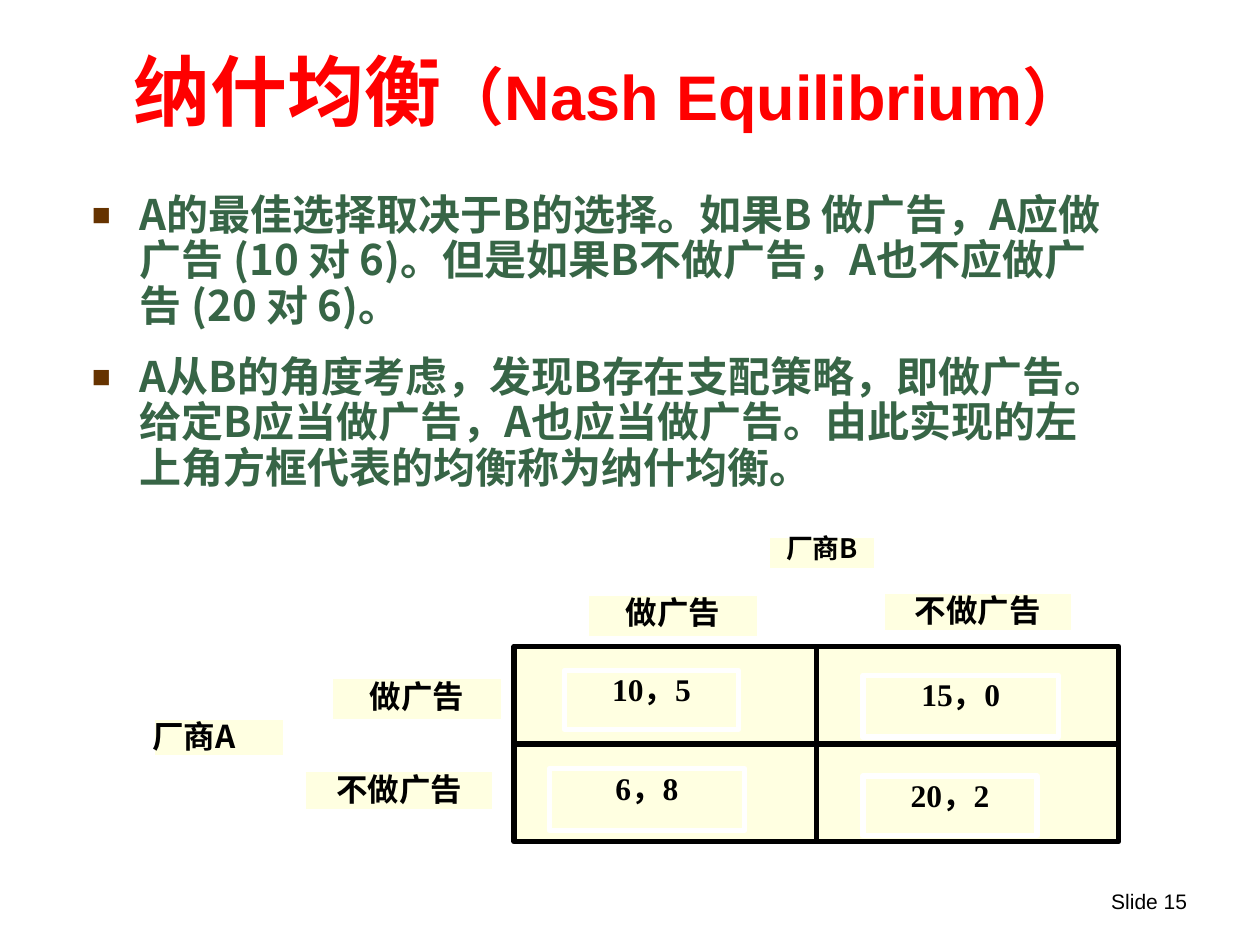
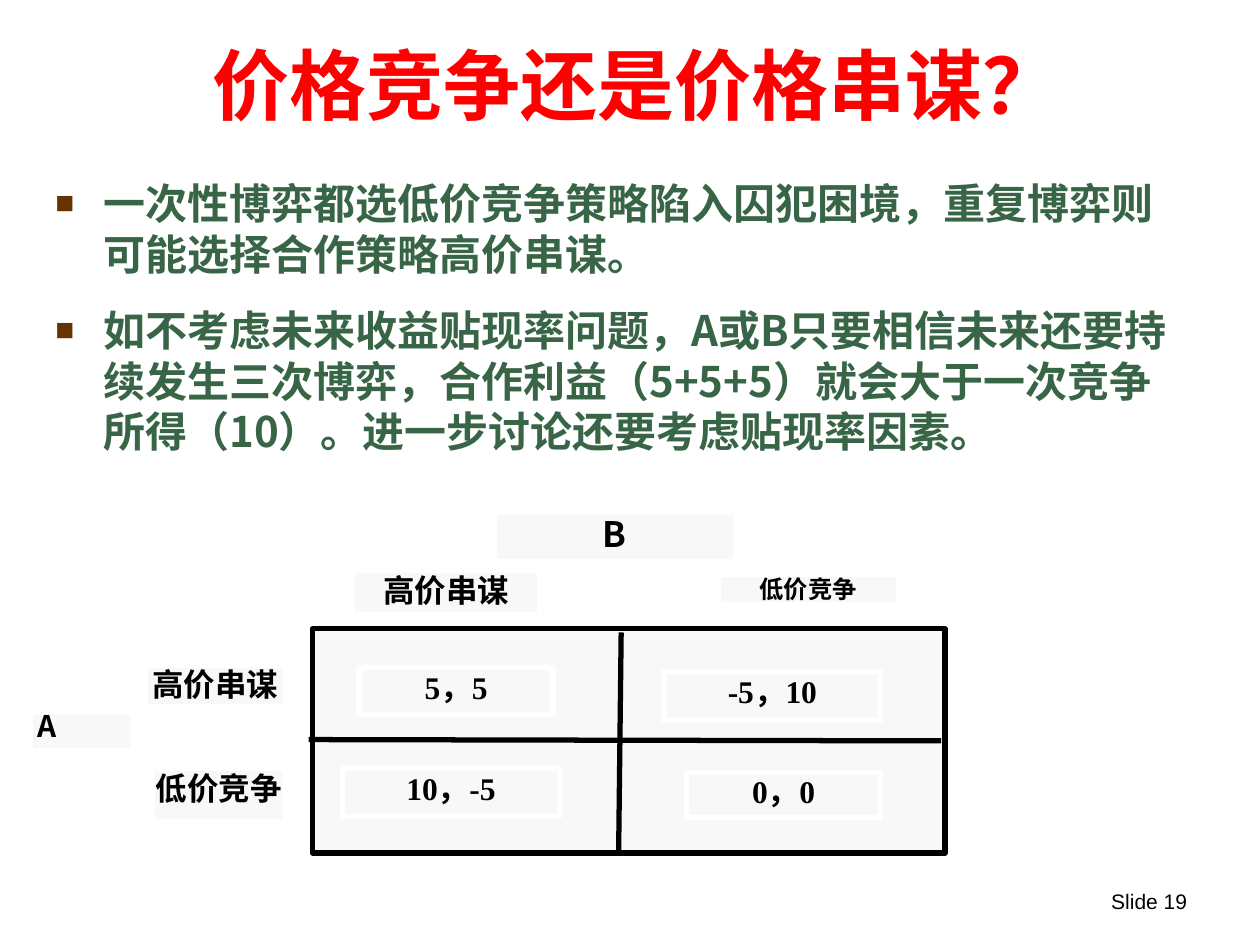
from lxml import etree
from pptx import Presentation
from pptx.dml.color import RGBColor
from pptx.enum import shapes, text
from pptx.oxml import ns
from pptx.util import Inches, Pt

RED, GREEN, BROWN = "FF0000", "376546", "663300"
BLACK, WHITE = "000000", "FFFFFF"
CJK, ARIAL, TIMES = "Noto Sans CJK SC", "Arial", "Times New Roman"
LEFT, CENTER = text.PP_ALIGN.LEFT, text.PP_ALIGN.CENTER
RIGHT, JUSTIFY = text.PP_ALIGN.RIGHT, text.PP_ALIGN.JUSTIFY

BODY_PARAGRAPH = {"space_before": Pt(15), "space_after": Pt(0), "alignment": LEFT}
NO_MARGINS = dict.fromkeys(
    ["margin_left", "margin_top", "margin_right", "margin_bottom"], 0)
TEXT_FRAME = {"word_wrap": True, "auto_size": text.MSO_AUTO_SIZE.NONE}

# Boxes: words, left, top, width, height, size, font, alignment, line spacing
games = [
    {
        "number": 15,
        "title": [("纳什均衡", 44, CJK), ("（", 36, CJK), ("Nash Equilibrium）", 36, ARIAL)],
        "title_area": (0.96, 0.3, 8.42, 0.83),
        "title_alignment": LEFT,
        "body_area": (0.63, 1.49, 8.25, 2.5),
        "body_spacing": 0.9,
        "points": [
            "A的最佳选择取决于B的选择。如果B 做广告，A应做广告 (10 对 6)。"
            "但是如果B不做广告，A也不应做广告 (20 对 6)。",
            "A从B的角度考虑，发现B存在支配策略，即做广告。给定B应当做广告，"
            "A也应当做广告。由此实现的左上角方框代表的均衡称为纳什均衡。",
        ],
        "tint": "FFFFE1",
        "matrix": (4.08, 5.13, 4.8, 1.55),
        "dividers": [(4.08, 5.9, 8.88, 5.9), (6.48, 5.13, 6.48, 6.68)],
        "joins": [(1, 3), (0, 2)],
        "boxes": [
            ("10，5", 4.48, 5.32, 1.38, 0.47, 18, TIMES, CENTER, 1),
            ("15，0", 6.85, 5.36, 1.55, 0.49, 18, TIMES, CENTER, 1),
            ("6，8", 4.36, 6.1, 1.55, 0.49, 18, TIMES, CENTER, 1),
            ("20，2", 6.85, 6.16, 1.38, 0.47, 18, TIMES, CENTER, 1),
            ("做广告", 4.65, 4.71, 1.38, 0.36, 18, CJK, CENTER, 1),
            ("不做广告", 7, 4.69, 1.52, 0.33, 18, CJK, CENTER, 1),
            ("厂商B", 6.09, 4.25, 0.87, 0.28, 15.3, CJK, CENTER, 0.9),
            ("厂商A", 1.21, 5.69, 1.06, 0.32, 18, CJK, JUSTIFY, 1),
            ("做广告", 2.62, 5.37, 1.38, 0.36, 18, CJK, CENTER, 1),
            ("不做广告", 2.41, 6.11, 1.52, 0.33, 18, CJK, CENTER, 1),
        ],
    },
    {
        "number": 19,
        "title": [("价格竞争还是价格串谋？", 44, ARIAL)],
        "title_area": (0.42, 0.19, 9.26, 0.89),
        "title_alignment": CENTER,
        "body_area": (0.34, 1.36, 9.07, 2.44),
        "body_spacing": 1,
        "points": [
            "一次性博弈都选低价竞争策略陷入囚犯困境，重复博弈则可能选择合作策略高价串谋。",
            "如不考虑未来收益贴现率问题，A或B只要相信未来还要持续发生三次博弈，"
            "合作利益（5+5+5）就会大于一次竞争所得（10）。进一步讨论还要考虑贴现率因素。",
        ],
        "tint": "F8F8F8",
        "matrix": (2.48, 4.99, 5.02, 1.78),
        "dividers": [(2.45, 5.87, 7.47, 5.88), (4.93, 5.02, 4.91, 6.76)],
        "joins": [None, None],
        "boxes": [
            ("5，5", 2.85, 5.3, 1.54, 0.37, 18, TIMES, CENTER, 1),
            ("-5，10", 5.27, 5.33, 1.72, 0.39, 18, TIMES, CENTER, 1),
            ("10，-5", 2.72, 6.1, 1.72, 0.38, 18, TIMES, CENTER, 1),
            ("0，0", 5.45, 6.13, 1.54, 0.36, 18, TIMES, CENTER, 1),
            ("高价串谋", 2.8, 4.53, 1.48, 0.35, 18, ARIAL, CENTER, 1),
            ("低价竞争", 5.7, 4.56, 1.43, 0.24, 13.9, ARIAL, CENTER, 1),
            ("B", 3.92, 4.07, 1.92, 0.39, 20, CJK, CENTER, 1),
            (" A", 0.24, 5.65, 0.81, 0.31, 17, CJK, JUSTIFY, 0.9),
            ("高价串谋", 1.15, 5.28, 1.12, 0.33, 18, ARIAL, CENTER, 1),
            ("低价竞争", 1.21, 6.1, 1.05, 0.42, 18, CJK, CENTER, 1),
        ],
    },
]


def add_run(paragraph, words, size, font, color, bold=True):
    run = paragraph.add_run()
    run.text = words
    for key, value in {"size": Pt(size), "name": font, "bold": bold}.items():
        setattr(run.font, key, value)
    run.font.color.rgb = RGBColor.from_string(color)
    east_asian = etree.SubElement(run.font._element, ns.qn("a:ea"))
    east_asian.set("typeface", CJK)


def add_rectangle(slide, area, tint, outline):
    rectangle = slide.shapes.add_shape(shapes.MSO_SHAPE.RECTANGLE, *map(Inches, area))
    rectangle.shadow.inherit = False
    rectangle.fill.solid()
    rectangle.fill.fore_color.rgb = RGBColor.from_string(tint)
    rectangle.line.color.rgb = RGBColor.from_string(outline)
    rectangle.line.width = Pt(3)
    return rectangle


deck = Presentation()
deck.slide_width, deck.slide_height = Inches(10), Inches(7.5)

for game in games:
    slide = deck.slides.add_slide(deck.slide_layouts[1])
    title, body = slide.placeholders
    for holder, area in ((title, game["title_area"]), (body, game["body_area"])):
        holder.left, holder.top, holder.width, holder.height = map(Inches, area)
        for key, value in TEXT_FRAME.items():
            setattr(holder.text_frame, key, value)

    title.text_frame.vertical_anchor = text.MSO_ANCHOR.BOTTOM
    heading = title.text_frame.paragraphs[0]
    heading.alignment = game["title_alignment"]
    for words, size, font in game["title"]:
        add_run(heading, words, size, font, RED)

    for index, words in enumerate(game["points"]):
        frame = body.text_frame
        point = frame.add_paragraph() if index else frame.paragraphs[0]
        for key, value in BODY_PARAGRAPH.items():
            setattr(point, key, value)
        point.line_spacing = game["body_spacing"]
        properties = point._p.get_or_add_pPr()
        properties.set("marL", str(Inches(0.38)))
        properties.set("indent", str(Inches(-0.38)))
        bullet_color = etree.SubElement(properties, ns.qn("a:buClr"))
        etree.SubElement(bullet_color, ns.qn("a:srgbClr")).set("val", BROWN)
        for tag, key, value in (("a:buSzPct", "val", "75000"),
                                ("a:buFont", "typeface", ARIAL),
                                ("a:buChar", "char", "■")):
            etree.SubElement(properties, ns.qn(tag)).set(key, value)
        add_run(point, words, 24, CJK, GREEN)

    matrix = add_rectangle(slide, game["matrix"], game["tint"], BLACK)
    for ends, sides in zip(game["dividers"], game["joins"]):
        divider = slide.shapes.add_connector(
            shapes.MSO_CONNECTOR.STRAIGHT, *map(Inches, ends))
        divider.line.color.rgb = RGBColor.from_string(BLACK)
        divider.line.width = Pt(3)
        etree.SubElement(divider._element.spPr, ns.qn("a:effectLst"))
        if sides:
            divider.begin_connect(matrix, sides[0])
            divider.end_connect(matrix, sides[1])

    for words, *area, size, font, alignment, spacing in game["boxes"]:
        frame = add_rectangle(slide, area, game["tint"], WHITE).text_frame
        for key, value in {**TEXT_FRAME, **NO_MARGINS}.items():
            setattr(frame, key, value)
        frame.vertical_anchor = text.MSO_ANCHOR.TOP
        label = frame.paragraphs[0]
        label.alignment, label.line_spacing = alignment, spacing
        add_run(label, words, size, font, BLACK)

    footer = slide.shapes.add_textbox(*map(Inches, (8.32, 7, 1.2, 0.5))).text_frame
    footer.word_wrap = True
    footer.paragraphs[0].alignment = RIGHT
    add_run(footer.paragraphs[0], f"Slide {game['number']}", 12, ARIAL, BLACK, bold=False)

deck.save("out.pptx")
